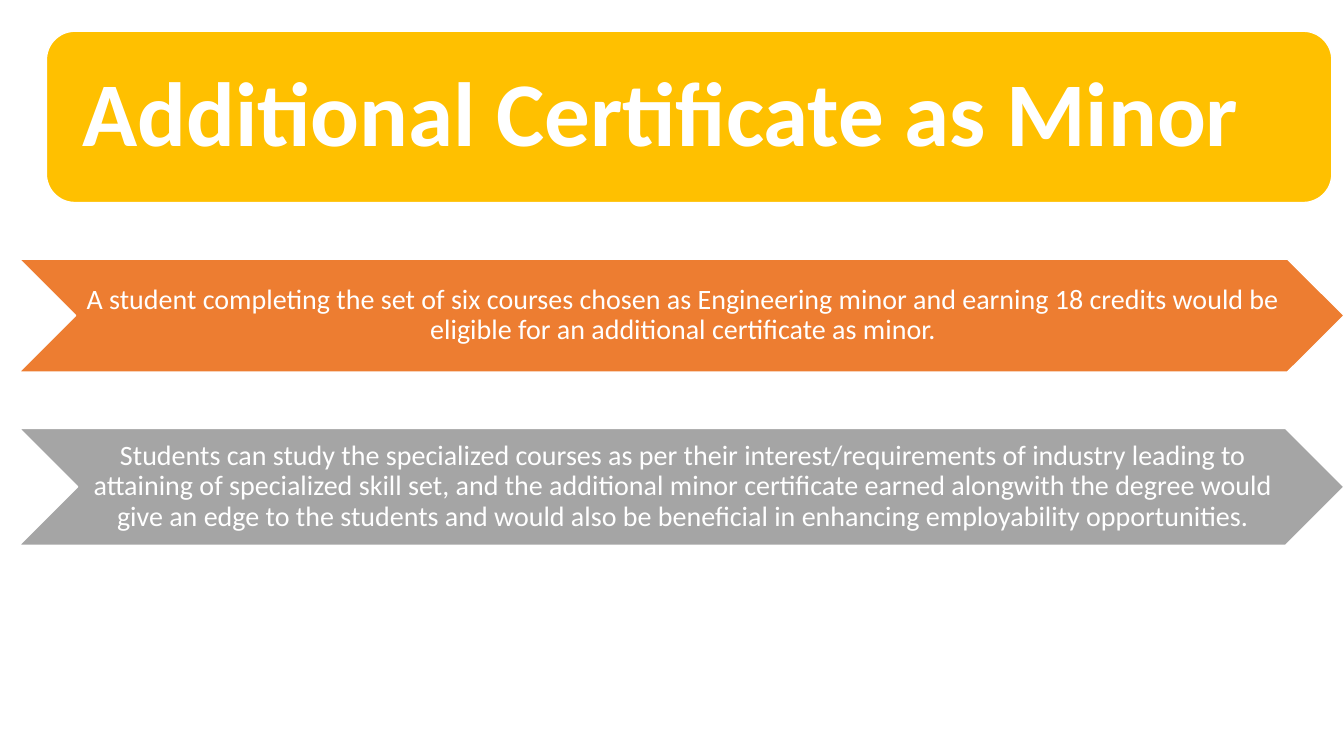
from pptx import Presentation
from pptx.dml.color import RGBColor
from pptx.enum import shapes, text
from pptx.util import Inches, Pt


def add_banner(s, kind, left, top, width, height, fill):
    sp = s.shapes.add_shape(kind, Inches(left), Inches(top), Inches(width), Inches(height))
    sp.shadow.inherit = False
    sp.fill.solid()
    sp.fill.fore_color.rgb = RGBColor.from_string(fill)
    sp.line.color.rgb = RGBColor.from_string("FFFFFF")
    sp.line.width = Pt(1)
    return sp


def set_text(sp, words, size, align, inset_x, inset_y, right=0, bold=False):
    tf = sp.text_frame
    tf.text = words
    tf.word_wrap = True
    tf.auto_size = text.MSO_AUTO_SIZE.NONE
    tf.vertical_anchor = text.MSO_ANCHOR.MIDDLE
    tf.margin_left, tf.margin_right = Inches(inset_x), Inches(right)
    tf.margin_top = tf.margin_bottom = Inches(inset_y)
    p = tf.paragraphs[0]
    p.alignment = align
    p.line_spacing = 0.9
    p.font.name = "Calibri"
    p.font.size = Pt(size)
    p.font.bold = bold
    p.font.color.rgb = RGBColor.from_string("FFFFFF")


prs = Presentation()
prs.slide_width, prs.slide_height = Inches(13.33), Inches(7.5)
s = prs.slides.add_slide(prs.slide_layouts[5])

banner = add_banner(s, shapes.MSO_SHAPE.ROUNDED_RECTANGLE, 0.46, 0.31, 12.75, 1.7, "FFC000")
title = s.shapes.title
title.left, title.top = Inches(0.55), Inches(0.39)
title.width, title.height = Inches(12.58), Inches(1.54)
set_text(title, "Additional Certificate as Minor", 65, text.PP_ALIGN.LEFT, 0.27, 0.27, 0.27, True)
banner.element.addnext(title.element)

benefits = [
    (2.57, 1.12, "ED7D31",
     "A student completing the set of six courses chosen as Engineering minor and earning "
     "18 credits would be eligible for an additional certificate as minor."),
    (4.25, 1.16, "A5A5A5",
     "Students can study the specialized courses as per their interest/requirements of "
     "industry leading to attaining of specialized skill set, and the additional minor "
     "certificate earned alongwith the degree would give an edge to the students and would "
     "also be beneficial in enhancing employability opportunities."),
]
for top, height, fill, words in benefits:
    chevron = add_banner(s, shapes.MSO_SHAPE.CHEVRON, 0.19, top, 13.14, height, fill)
    set_text(chevron, words, 20, text.PP_ALIGN.CENTER, 0.03, 0.01)

prs.save("out.pptx")
